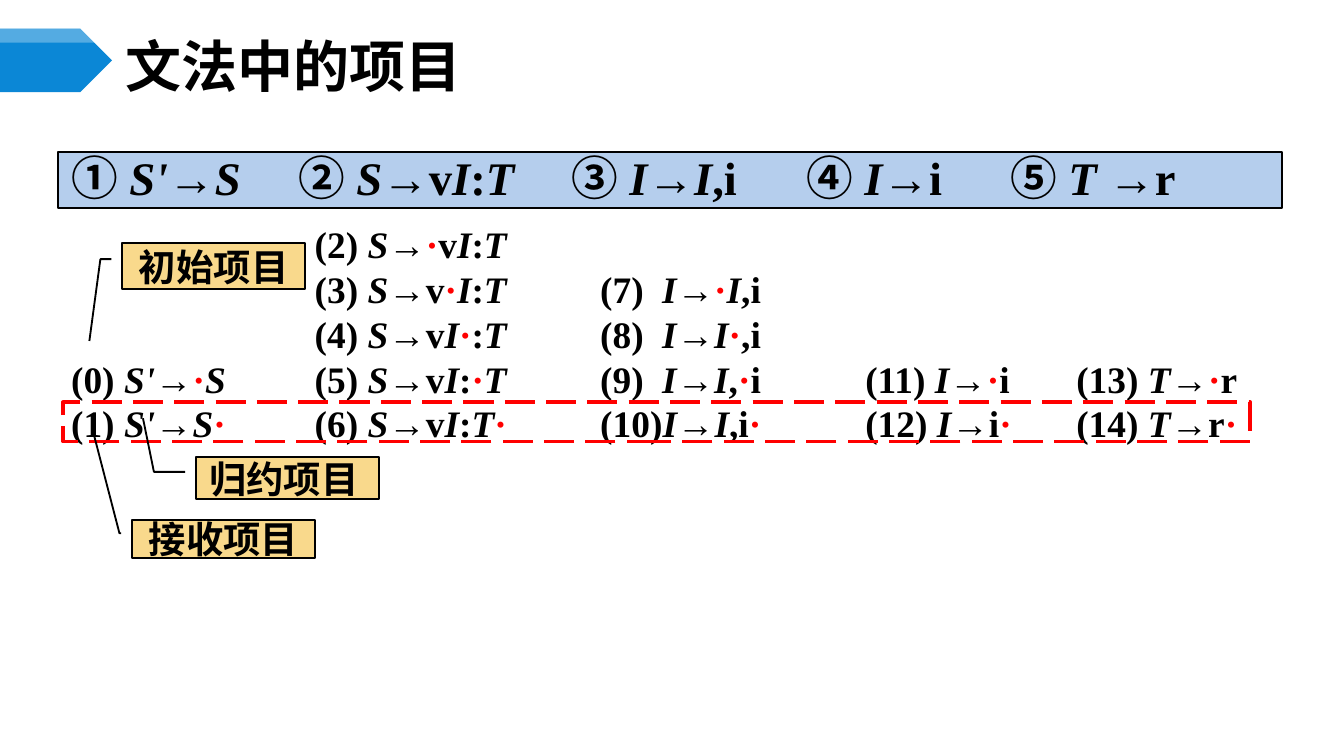
from itertools import groupby

from lxml import etree
from pptx import Presentation
from pptx.dml.color import RGBColor
from pptx.enum.dml import MSO_LINE
from pptx.enum.shapes import MSO_SHAPE
from pptx.enum.text import MSO_ANCHOR, PP_ALIGN
from pptx.oxml.ns import qn
from pptx.util import Pt

PENTAGON = MSO_SHAPE.PENTAGON
RECTANGLE = MSO_SHAPE.RECTANGLE
CALLOUT = MSO_SHAPE.LINE_CALLOUT_2
MIDDLE = MSO_ANCHOR.MIDDLE
LEFT, CENTER = PP_ALIGN.LEFT, PP_ALIGN.CENTER
LONG_DASH = MSO_LINE.LONG_DASH

COLORS = {"blue": "0B87D6", "white": "FFFFFF", "banner": "B5CEED",
          "label": "F9D98C", "ink": "000000", "red": "FF0000"}
HAN, LATIN = "Noto Sans CJK SC", "Times New Roman"
ITEM_SIZE, ITEM_LINE, ITEM_INSET = 20, 24, 3.6


def color(name):
    return RGBColor.from_string(COLORS[name])


def set_font(font, face, size=None, ink="ink"):
    """Bold type in one face for Latin and Chinese text."""
    font.name, font.bold = face, True
    font.color.rgb = color(ink)
    if size:
        font.size = Pt(size)
    # The a:ea element follows a:latin
    east_asian = etree.Element(qn("a:ea"), typeface=face)
    font._element.find(qn("a:latin")).addnext(east_asian)


def add_box(slide, kind, box, fill=None, line=None, width=1):
    shape = slide.shapes.add_shape(kind, *map(Pt, box))
    shape.shadow.inherit = False
    if fill:
        shape.fill.solid()
        shape.fill.fore_color.rgb = color(fill)
    else:
        shape.fill.background()
    if line:
        shape.line.color.rgb = color(line)
        shape.line.width = Pt(width)
    else:
        shape.line.fill.background()
    return shape


def add_text(slide, box):
    frame = slide.shapes.add_textbox(*map(Pt, box)).text_frame
    frame.word_wrap = True
    return frame


def symbol_style(symbol):
    """Face, italic and colour of one grammar symbol."""
    face = HAN if symbol in "①②③④⑤" else LATIN
    italic = symbol.isupper() or symbol == "'"
    return face, italic, "red" if symbol == "·" else "ink"


def write_grammar(paragraph, text, size):
    """Nonterminals are italic, the dot is red, circled numbers are Chinese type."""
    for (face, italic, ink), symbols in groupby(text, symbol_style):
        run = paragraph.add_run()
        run.text = "".join(symbols)
        set_font(run.font, face, size, ink)
        run.font.italic = italic


def set_tabs(paragraph, stops):
    properties = paragraph._p.get_or_add_pPr()
    tabs = etree.SubElement(properties, qn("a:tabLst"))
    for stop in stops:
        etree.SubElement(tabs, qn("a:tab"), pos=str(Pt(stop)), algn="l")


def add_heading(slide, box, title):
    left, top, width, height = box
    # Pentagon marker with a pale upper band
    add_box(slide, PENTAGON, (left, top, 60, height), "blue")
    band = add_box(slide, PENTAGON, (left, top, 60, 7.5), "white")
    tint = band.fill._xPr.find(qn("a:solidFill"))[0]
    etree.SubElement(tint, qn("a:alpha"), val="30000")
    # Title
    frame = add_text(slide, (left + 60, top + 5.5, width - 60, 28))
    frame.vertical_anchor = MIDDLE
    paragraph = frame.paragraphs[0]
    paragraph.text = title
    set_font(paragraph.font, HAN, 30)


def add_productions(slide, box, productions, stops):
    frame = add_box(slide, RECTANGLE, box, "banner", "ink").text_frame
    frame.vertical_anchor, frame.word_wrap = MIDDLE, True
    paragraph = frame.paragraphs[0]
    paragraph.alignment, paragraph.line_spacing = LEFT, 0.9
    set_tabs(paragraph, stops)
    write_grammar(paragraph, "\t".join(productions), 25)


def add_items(slide, box, columns):
    """Columns of items that share the bottom edge of the box."""
    left, top, _, height = box
    for offset, width, items in columns:
        column_height = len(items) * ITEM_LINE + 2 * ITEM_INSET
        frame = add_text(slide, (left + offset, top + height - column_height,
                                 width, column_height))
        for index, item in enumerate(items):
            paragraph = frame.add_paragraph() if index else frame.paragraphs[0]
            if "\t" in item:
                set_tabs(paragraph, [33.2])
            write_grammar(paragraph, item, ITEM_SIZE)


def add_callout(slide, box, label, align, leader):
    callout = add_box(slide, CALLOUT, box, "label", "ink")
    # The leader leaves the box at the same relative point each time
    for index, value in enumerate((0.35, -0.06, 0.35, *leader)):
        callout.adjustments[index] = value
    frame = callout.text_frame
    frame.vertical_anchor, frame.word_wrap = MIDDLE, True
    paragraph = frame.paragraphs[0]
    paragraph.text, paragraph.alignment = label, align
    set_font(paragraph.font, HAN, 20)


def main():
    deck = Presentation()
    deck.slide_width, deck.slide_height = Pt(720), Pt(405)
    slide = deck.slides.add_slide(deck.slide_layouts[6])

    add_heading(slide, (0, 15.3, 684, 34), "文法中的项目")
    add_productions(
        slide, (31, 81.5, 656, 30),
        ["① S'→S", "② S→vI:T", "③ I→I,i", "④ I→i", "⑤ T →r"],
        [121.6, 267.9, 393.8, 503])
    add_items(slide, (31, 115, 655, 127.2), [
        (0, 113, ["(0) S'→·S", "(1) S'→S·"]),
        (130.5, 140, ["(2) S→·vI:T", "(3) S→v·I:T", "(4) S→vI·:T",
                      "(5) S→vI:·T", "(6) S→vI:T·"]),
        (283.5, 117, ["(7)\tI→·I,i", "(8)\tI→I·,i", "(9)\tI→I,·i", "(10)I→I,i·"]),
        (425.5, 117, ["(11) I→·i", "(12) I→i·"]),
        (538.5, 114, ["(13) T→·r", "(14) T→r·"]),
    ])

    # Frame around the completed items
    completed = add_box(slide, RECTANGLE, (33.8, 215.5, 636, 21), None, "red", 2)
    completed.line.dash_style = LONG_DASH

    # Kinds of item
    add_callout(slide, (105, 245, 98, 22.3), "归约项目", LEFT, (-0.23, -0.94, -0.29))
    add_callout(slide, (70.8, 278.6, 98, 20.2), "接收项目", CENTER, (-0.07, -2.46, -0.22))
    add_callout(slide, (65.5, 130.3, 98, 24.5), "初始项目", CENTER, (-0.12, 2.14, -0.18))

    deck.save("out.pptx")


if __name__ == "__main__":
    main()
